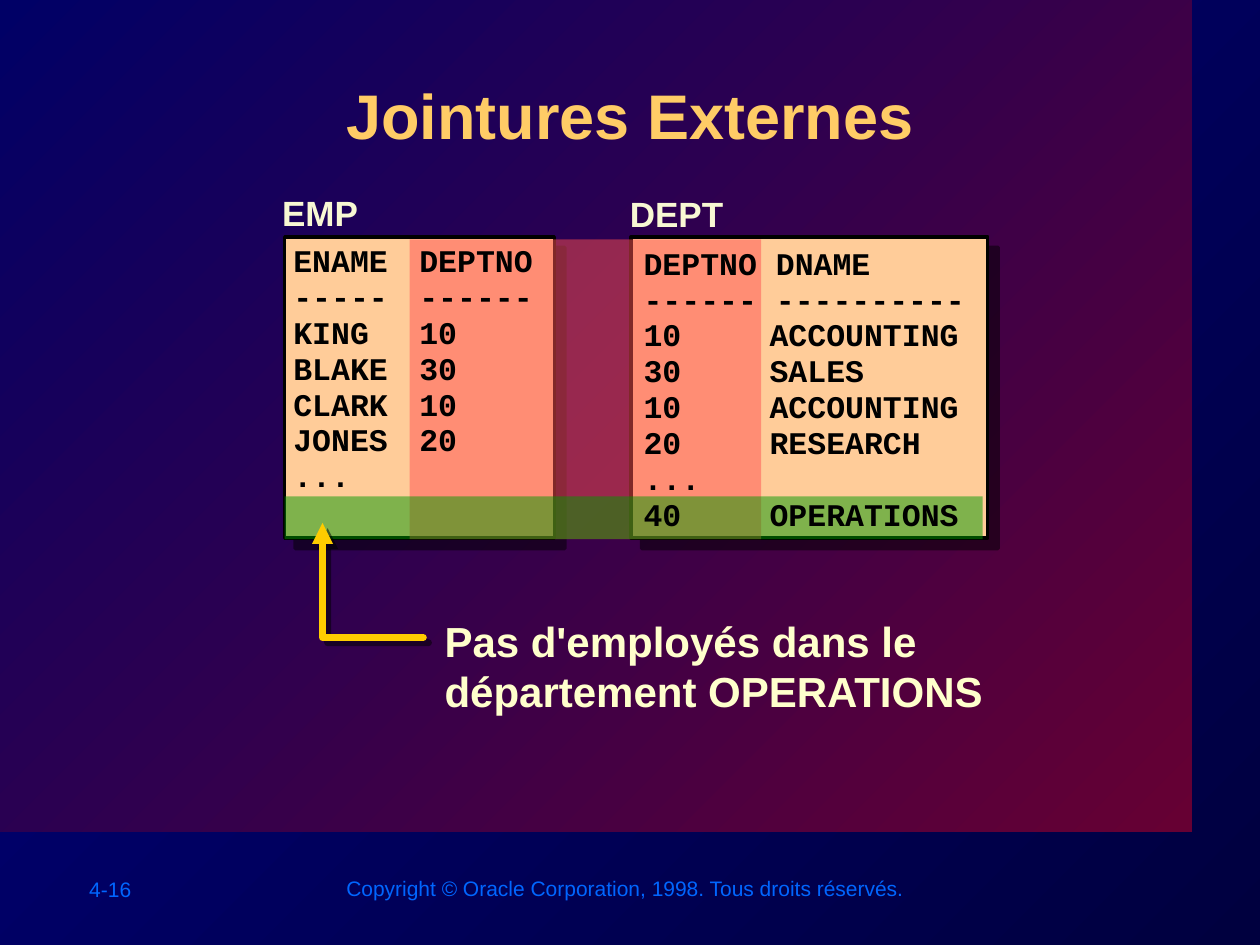
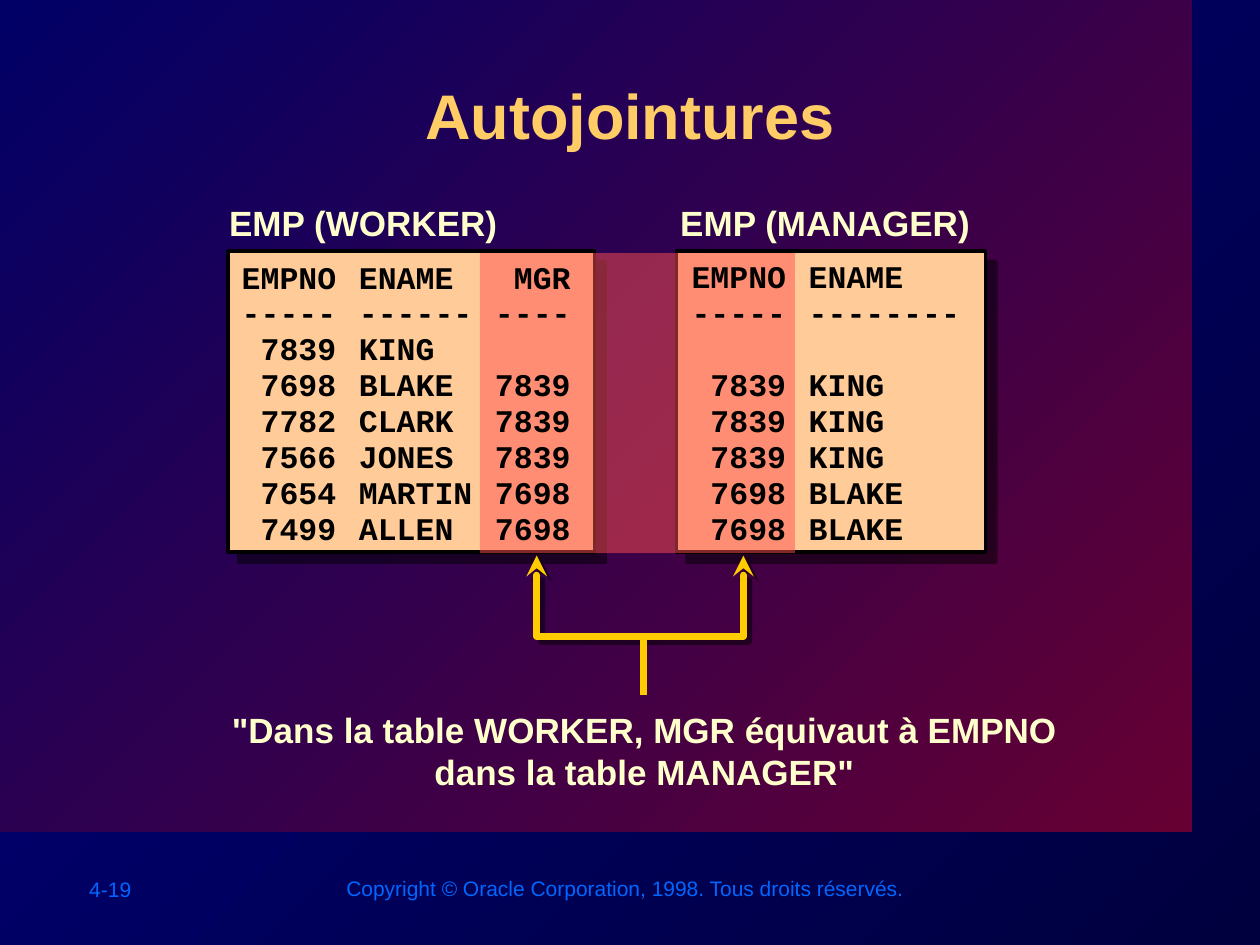
from lxml.etree import SubElement
from pptx import Presentation
from pptx.dml.color import RGBColor
from pptx.enum.shapes import MSO_CONNECTOR, MSO_SHAPE
from pptx.enum.text import MSO_ANCHOR, MSO_AUTO_SIZE, PP_ALIGN
from pptx.oxml.ns import qn
from pptx.util import Inches, Pt

GOLD, CREAM, PALE, BLUE = "FFCC66", "FFFFCC", "F8F8D3", "0066FF"
SAND, RED, GREEN, AMBER, BLACK = "FFCC99", "FF5050", "009900", "FFCC00", "000000"
NIGHT = ("00003F", "000080")
WINE = ("660033", "000066")
COPY = "Copyright © Oracle Corporation, 1998. Tous droits réservés."


def paint(shape, fill=None, line=None, width=2, alpha=100, drop=0):
    """Set fill, line and a hard shadow that falls drop points to the lower right."""
    shape.shadow.inherit = False
    if fill:
        shape.fill.solid()
        shape.fill.fore_color.rgb = RGBColor.from_string(fill)
        if alpha < 100:
            color = shape._element.spPr.find(qn("a:solidFill"))[0]
            SubElement(color, qn("a:alpha"), val=str(alpha * 1000))
    else:
        shape.fill.background()
    if line:
        shape.line.color.rgb = RGBColor.from_string(line)
        shape.line.width = Pt(width)
    else:
        shape.line.fill.background()
    if drop:
        effects = shape._element.spPr.find(qn("a:effectLst"))
        cast = SubElement(effects, qn("a:outerShdw"), dist=str(Pt(drop)),
                          dir="2700000", algn="ctr", rotWithShape="0")
        color = SubElement(cast, qn("a:srgbClr"), val=BLACK)
        SubElement(color, qn("a:alpha"), val="50000")


def write(slide, place, rows, size, color, font="Arial", bold=True,
          wrap=True, pitch=None, tabs=(), align=PP_ALIGN.LEFT):
    """Add a text box; an empty row becomes one line of space before the next."""
    box = slide.shapes.add_textbox(*map(Inches, place))
    frame = box.text_frame
    frame.word_wrap = wrap
    gap = 0
    for row in rows:
        if not row:
            gap = pitch
            continue
        first = not frame.paragraphs[0].runs
        para = frame.paragraphs[0] if first else frame.add_paragraph()
        if tabs:
            stops = SubElement(para._p.get_or_add_pPr(), qn("a:tabLst"))
            for spot, side in tabs:
                SubElement(stops, qn("a:tab"), pos=str(Inches(spot)), algn=side)
        para.alignment = align
        if pitch:
            para.line_spacing = Pt(pitch)
        if gap:
            para.space_before = Pt(gap)
            gap = 0
        run = para.add_run()
        run.text = row
        run.font.name, run.font.size, run.font.bold = font, Pt(size), bold
        run.font.color.rgb = RGBColor.from_string(color)


# Each table: frame, label place, label, text place, tab stops, rows
EMP = (
    (2.26, 1.88, 2.14, 2.39), (2.14, 1.47, 0.88, 0.43), "EMP",
    (2.23, 1.88, 2.17, 2.38), [(1, "l")],
    ["ENAME\tDEPTNO", "-----\t------", "KING\t10", "BLAKE\t30",
     "CLARK\t10", "JONES\t20", "..."])
DEPT = (
    (5.01, 1.88, 2.83, 2.39), (4.9, 1.48, 1.02, 0.43), "DEPT",
    (5.01, 1.9, 2.8, 2.38), [(1, "l")],
    ["DEPTNO DNAME", "------ ----------", "10\tACCOUNTING", "30\tSALES",
     "10\tACCOUNTING", "20\tRESEARCH", "...", "40\tOPERATIONS"])
WORKER = (
    (1.81, 1.99, 2.91, 2.39), (1.72, 1.55, 2.34, 0.43), "EMP (WORKER)",
    (1.82, 2.01, 2.88, 2.38), [(0.75, "r"), (0.93, "l"), (2.61, "r")],
    ["\tEMPNO\tENAME\tMGR", "\t-----\t------\t----", "\t7839\tKING",
     "\t7698\tBLAKE\t7839", "\t7782\tCLARK\t7839", "\t7566\tJONES\t7839",
     "\t7654\tMARTIN\t7698", "\t7499\tALLEN\t7698"])
MANAGER = (
    (5.37, 1.99, 2.45, 2.39), (5.3, 1.55, 2.51, 0.43), "EMP (MANAGER)",
    (5.39, 2.01, 2.42, 2.4), [(0.75, "r"), (0.93, "l")],
    ["\tEMPNO\tENAME", "\t-----\t--------", "", "\t7839\tKING", "\t7839\tKING",
     "\t7839\tKING", "\t7698\tBLAKE", "\t7698\tBLAKE"])

# Each slide: title, number, tables, label colour, tinted bands, arrow points, arrow ends
PAGES = [
    ("Jointures Externes", "4-16", (EMP, DEPT), PALE,
     [((3.25, 1.9, 2.79, 2.38), RED), ((2.26, 3.94, 5.54, 0.34), GREEN)],
     [(3.36, 5.06), (2.56, 5.06), (2.56, 4.15)], {"tailEnd": "triangle"}),
    ("Autojointures", "4-19", (WORKER, MANAGER), CREAM,
     [((3.81, 2.01, 2.5, 2.38), RED)],
     [(4.26, 4.41), (4.26, 5.05), (5.9, 5.05), (5.9, 4.41)],
     {"headEnd": "stealth", "tailEnd": "stealth"}),
]

deck = Presentation()
deck.slide_width, deck.slide_height = Inches(10), Inches(7.5)
slides = []

for name, number, tables, tone, bands, points, ends in PAGES:
    slide = deck.slides.add_slide(deck.slide_layouts[5])
    slides.append(slide)
    shapes = slide.shapes

    panel = shapes.add_shape(MSO_SHAPE.RECTANGLE, 0, 0, Inches(9.46), Inches(6.6))
    paint(panel)
    for fill, colors in ((slide.background.fill, NIGHT), (panel.fill, WINE)):
        fill.gradient()
        fill.gradient_angle = 135
        for stop, color in zip(fill.gradient_stops, colors):
            stop.color.rgb = RGBColor.from_string(color)

    title = shapes.title
    panel._element.addnext(title._element)
    title.left, title.top = Inches(1.01), Inches(0.56)
    title.width, title.height = Inches(7.98), Inches(0.96)
    frame = title.text_frame
    frame.auto_size = MSO_AUTO_SIZE.NONE
    frame.vertical_anchor = MSO_ANCHOR.TOP
    frame.paragraphs[0].alignment = PP_ALIGN.CENTER
    run = frame.paragraphs[0].add_run()
    run.text = name
    run.font.name, run.font.size, run.font.bold = "Arial", Pt(36), True
    run.font.color.rgb = RGBColor.from_string(GOLD)
    props = run._r.get_or_add_rPr()
    effects = SubElement(props, qn("a:effectLst"))
    cast = SubElement(effects, qn("a:outerShdw"), dist=str(Pt(3)), dir="2700000")
    SubElement(cast, qn("a:srgbClr"), val=BLACK)
    props.find(qn("a:solidFill")).addnext(effects)

    write(slide, (0.61, 6.91, 1.11, 0.3), [number], 12, BLUE, bold=False, wrap=False)
    write(slide, (2.65, 6.9, 4.66, 0.3), [COPY], 12, BLUE, bold=False, wrap=False)

    for table in tables:
        card = shapes.add_shape(MSO_SHAPE.RECTANGLE, *map(Inches, table[0]))
        paint(card, SAND, BLACK, drop=8.5)
        write(slide, table[1], [table[2]], 20, tone, wrap=False)

    for place, color in bands:
        band = shapes.add_shape(MSO_SHAPE.RECTANGLE, *map(Inches, place))
        paint(band, color, alpha=50)

    spots = [(Inches(x), Inches(y)) for x, y in points]
    builder = shapes.build_freeform(*spots[0])
    builder.add_line_segments(spots[1:], close=False)
    arrow = builder.convert_to_shape()
    paint(arrow, line=AMBER, width=4, drop=4.2)
    line = arrow._element.spPr.find(qn("a:ln"))
    line.set("cap", "rnd")
    SubElement(line, qn("a:round"))
    for end, kind in ends.items():
        SubElement(line, qn("a:" + end), type=kind)

    for table in tables:
        write(slide, table[3], table[5], 18, BLACK, "Courier New",
              pitch=20.5, tabs=table[4])

outer, self_join = slides
write(outer, (3.43, 4.83, 5.1, 0.9),
      ["Pas d'employés dans le département OPERATIONS"], 24, CREAM, pitch=29)

stem = self_join.shapes.add_connector(
    MSO_CONNECTOR.STRAIGHT, Inches(5.11), Inches(5.04), Inches(5.11), Inches(5.52))
stem.line.color.rgb = RGBColor.from_string(AMBER)
stem.line.width = Pt(4)
SubElement(stem._element.spPr, qn("a:effectLst"))
write(self_join, (1.46, 5.57, 7.31, 0.77),
      ['"Dans la table WORKER, MGR équivaut à EMPNO dans la table MANAGER"'],
      20, CREAM, pitch=24, align=PP_ALIGN.CENTER)

deck.save("out.pptx")
